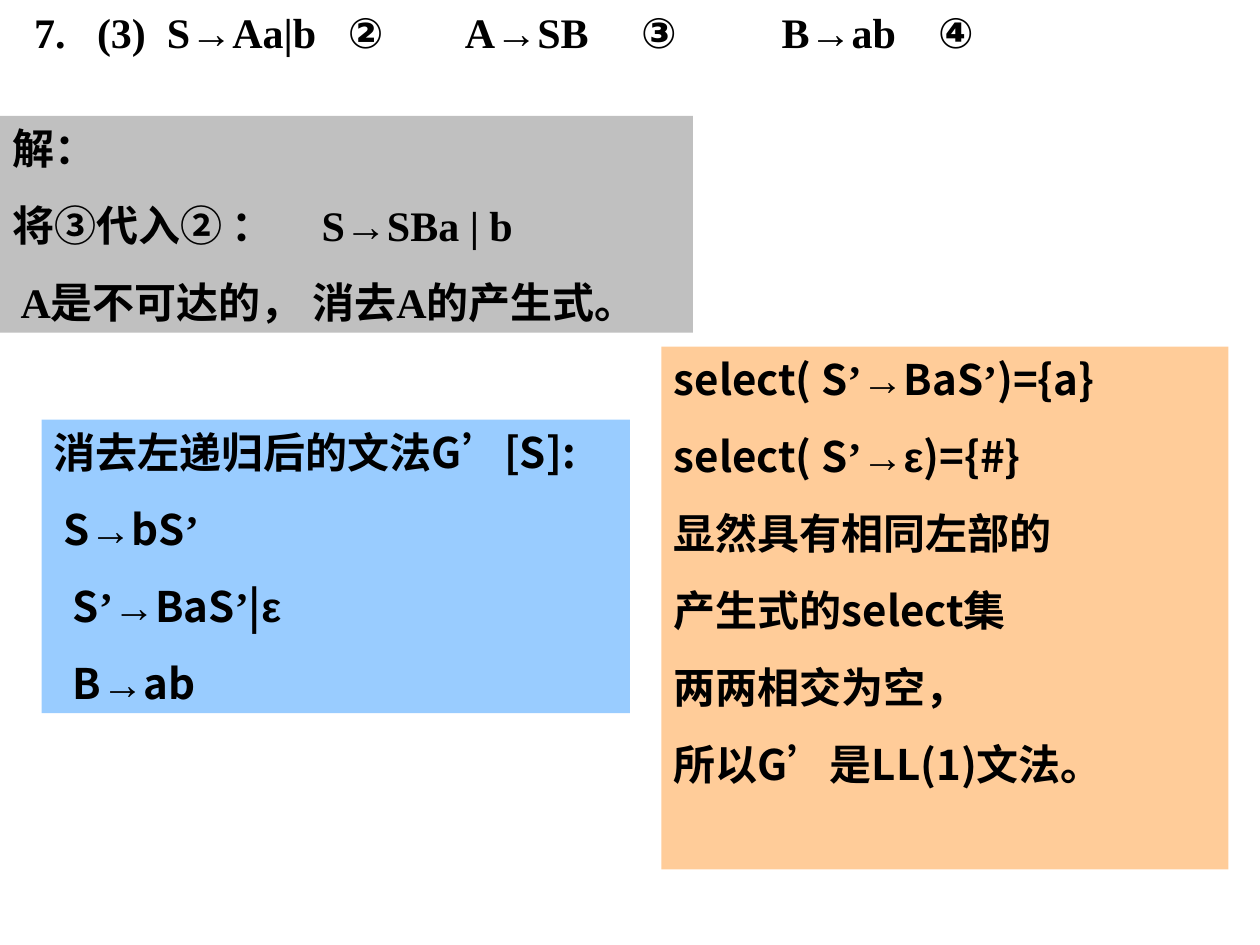
from itertools import groupby

from lxml import etree
from pptx import Presentation
from pptx import util as u
from pptx.dml.color import RGBColor
from pptx.enum import shapes, text
from pptx.oxml.ns import qn

THEME = {
    "ink": "000000", "solution": "C0C0C0", "grammar": "99CCFF", "select": "FFCC99",
    "size": 24, "line": 29, "gap": 15,
    "serif": "Times New Roman", "sans": "Noto Sans CJK SC", "symbol": "Arial",
}

HEADING = "7.   (3)  S→Aa|b   ②        A→SB     ③          B→ab    ④"
HEADING_BOX = (0.17, 0, 9.83, 0.5)

PANELS = [
    {
        "box": (0, 0.92, 5.5, 1.72), "fill": "solution", "face": "serif",
        "lines": ["解：", "将③代入② ：     S→SBa | b ", " A是不可达的， 消去A的产生式。"],
    },
    {
        "box": (0.33, 3.33, 4.67, 2.33), "fill": "grammar", "face": "sans",
        "lines": ["消去左递归后的文法G’[S]:", " S→bS’ ", "  S’→BaS’|ε", "  B→ab"],
    },
    {
        "box": (5.25, 2.75, 4.5, 4.15), "fill": "select", "face": "sans",
        "lines": [
            "select( S’→BaS’)={a}", "select( S’→ε)={#}", "显然具有相同左部的",
            "产生式的select集", "两两相交为空，", "所以G’是LL(1)文法。",
        ],
    },
]


def face_of(char, latin_face):
    if char in "→ε②③④":
        return "symbol"
    return latin_face if char.isascii() else "serif"


def write(frame, lines, *, face, gap):
    frame.word_wrap = True
    frame.auto_size = text.MSO_AUTO_SIZE.NONE
    frame.vertical_anchor = text.MSO_ANCHOR.TOP
    frame.margin_left = frame.margin_right = u.Inches(0.1)
    frame.margin_top = frame.margin_bottom = u.Inches(0.05)
    for index, line in enumerate(lines):
        paragraph = frame.paragraphs[0] if index == 0 else frame.add_paragraph()
        paragraph.alignment = text.PP_ALIGN.JUSTIFY
        paragraph.line_spacing = u.Pt(THEME["line"])
        paragraph.space_before = u.Pt(gap)
        for part_face, chars in groupby(line, lambda char: face_of(char, face)):
            part = paragraph.add_run()
            part.text = "".join(chars)
            part.font.name = THEME[part_face]
            part.font.size = u.Pt(THEME["size"])
            part.font.bold = True
            part.font.color.rgb = RGBColor.from_string(THEME["ink"])
            east_asian = etree.SubElement(part.font._element, qn("a:ea"))
            east_asian.set("typeface", THEME["sans"])


def main():
    deck = Presentation()
    deck.slide_width, deck.slide_height = u.Inches(10), u.Inches(7.5)
    slide = deck.slides.add_slide(deck.slide_layouts[5])

    heading = slide.shapes.title
    heading.left, heading.top, heading.width, heading.height = map(u.Inches, HEADING_BOX)
    write(heading.text_frame, [HEADING], face="serif", gap=0)

    for content in PANELS:
        panel = slide.shapes.add_shape(
            shapes.MSO_SHAPE.RECTANGLE, *map(u.Inches, content["box"])
        )
        panel.shadow.inherit = False
        panel.fill.solid()
        panel.fill.fore_color.rgb = RGBColor.from_string(THEME[content["fill"]])
        panel.line.fill.background()
        write(panel.text_frame, content["lines"], face=content["face"], gap=THEME["gap"])

    deck.save("out.pptx")


if __name__ == "__main__":
    main()
